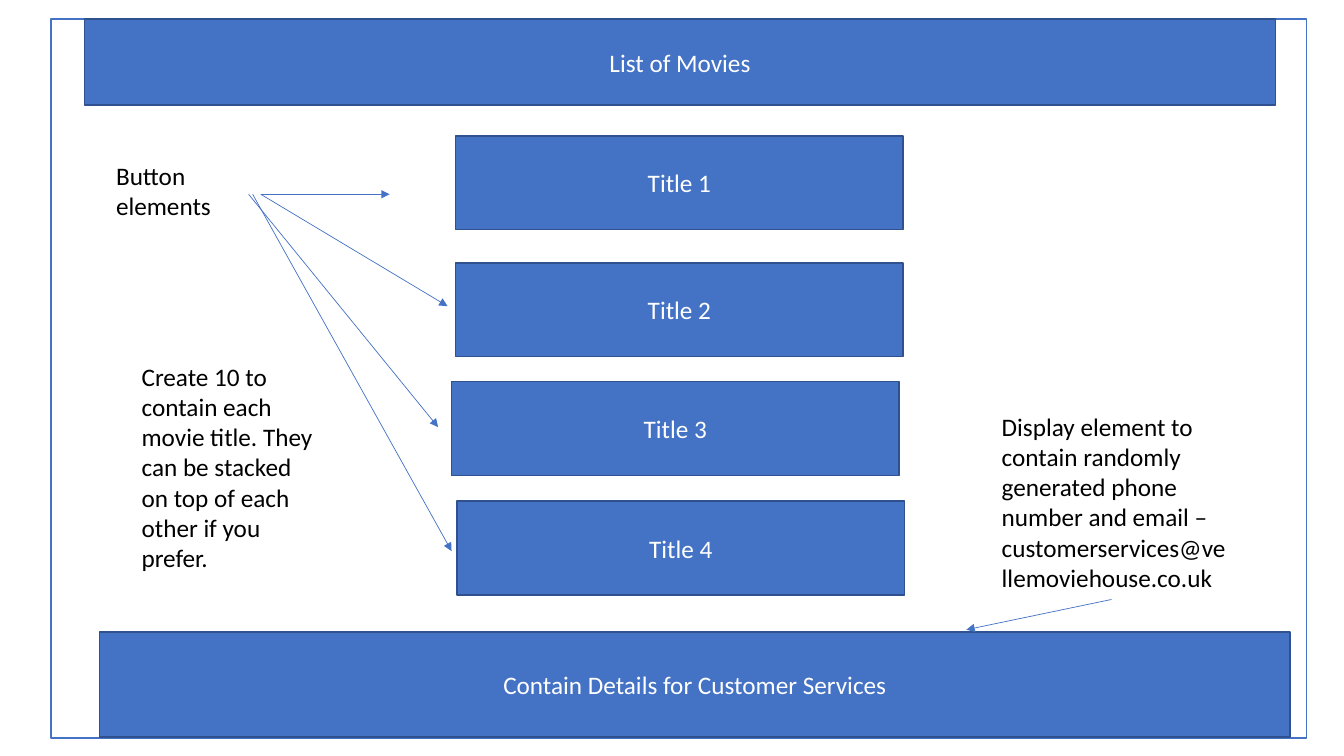
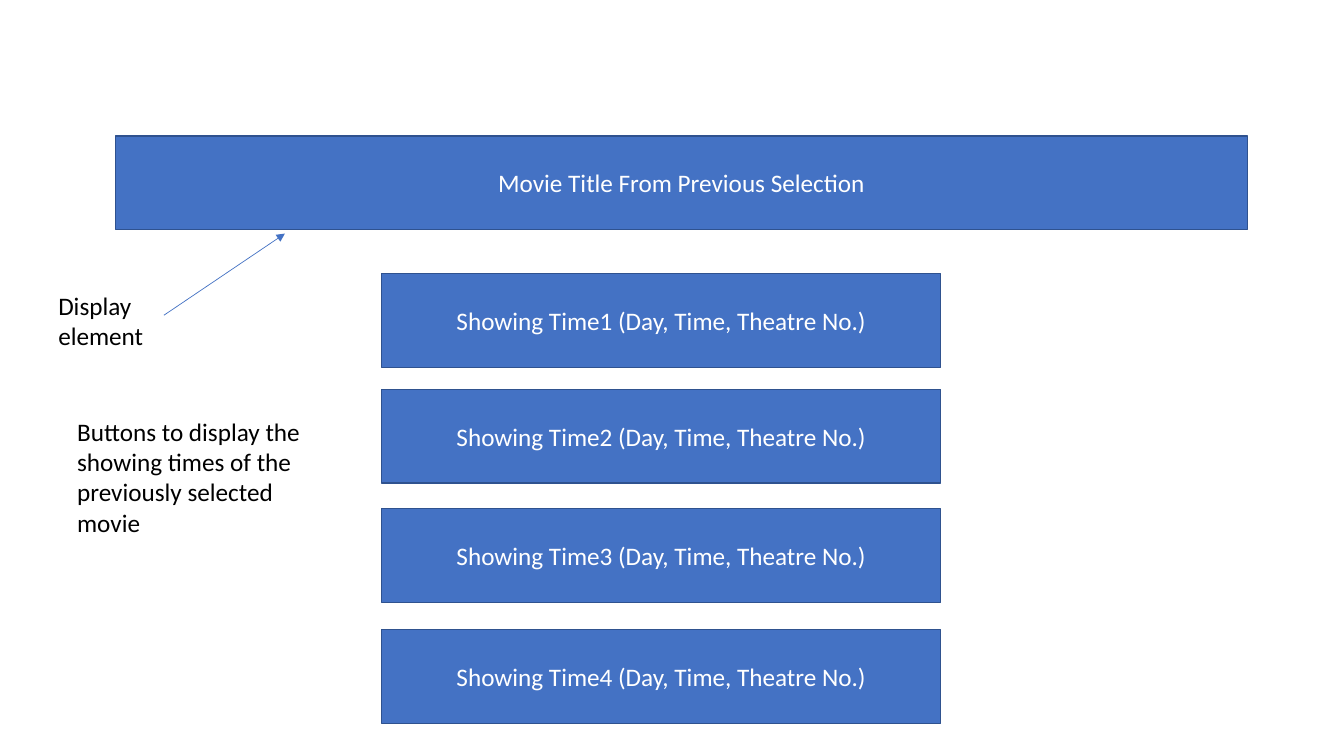
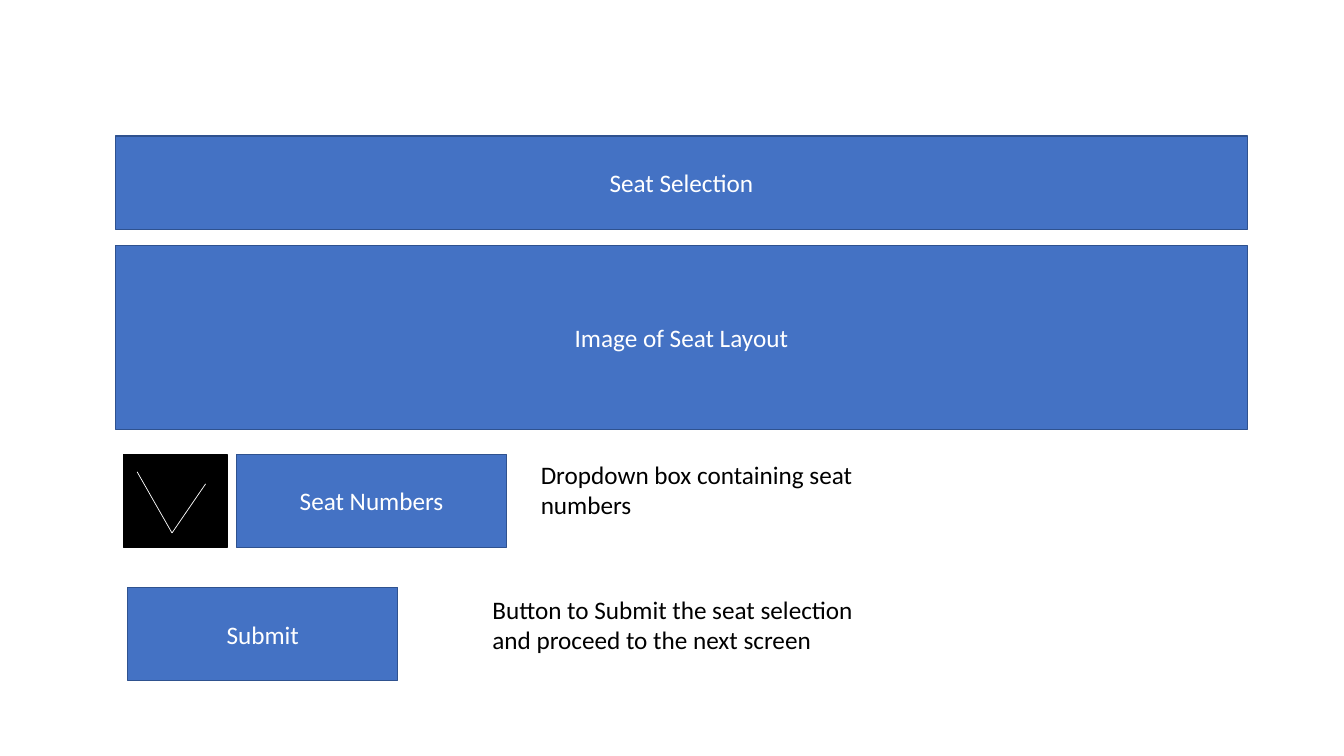
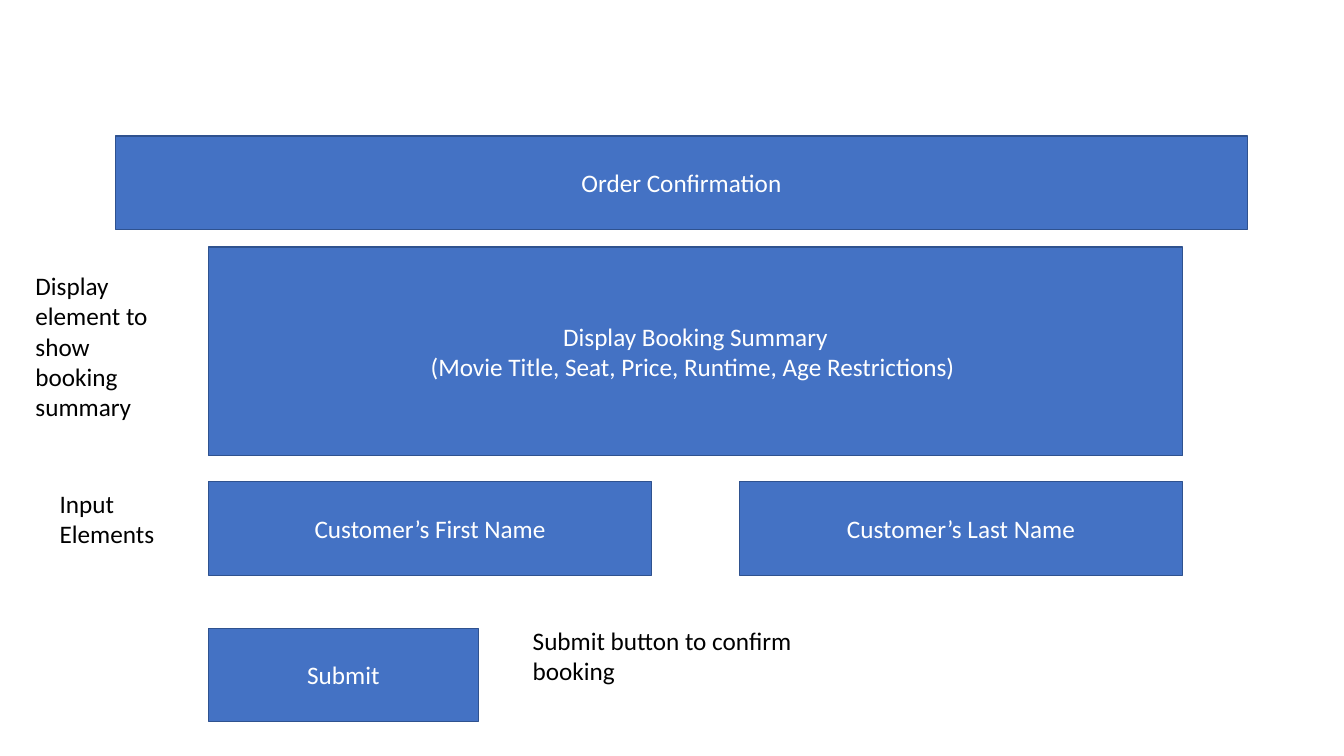
from dataclasses import dataclass

from lxml.etree import SubElement
from pptx import Presentation
from pptx.dml.color import RGBColor
from pptx.enum.shapes import MSO_CONNECTOR, MSO_SHAPE
from pptx.enum.text import MSO_ANCHOR, MSO_AUTO_SIZE, PP_ALIGN
from pptx.oxml.ns import qn
from pptx.util import Inches, Pt


@dataclass(frozen=True)
class Theme:
    font: str = "Calibri"
    size: float = 18
    blue: str = "4472C4"
    navy: str = "2F528F"
    white: str = "FFFFFF"
    black: str = "000000"
    outline: float = 1
    hairline: float = 0.5


theme = Theme()

# Shared measures, in percent of the slide's width or height
WIDTH, HEIGHT = 13.33, 7.5
BUTTON = 12.4
SHORT_BUTTON = (20.1, 12.3)
NOTE = 9.5
BAND = (8.6, 18, 84.2, BUTTON)
MARGIN_BAND = 88.6
SUMMARY_LEFT, SUMMARY_WIDTH = 15.5, 72.5
NAME_WIDTH = 33

# Content: boxes and notes are (lines, left, top, width, height);
# plain boxes are (fill, outline, left, top, width, height);
# lines are (start, end) in the same percentages
title_places = [(33.9, 18), (33.9, 34.8), (33.6, 50.5), (34, 66.3)]
showing_tops = [36.2, 51.5, 67.3, 83.3]
tick = [(10.2, 62.4), (12.8, 70.5), (15.3, 64)]

screens = [
    {
        "plain": [(theme.white, theme.blue, 3.8, 2.5, 93.4, 95.1)],
        "boxes": [
            (["List of Movies"], 6.3, 2.5, MARGIN_BAND, 11.4),
            *[([f"Title {number}"], left, top, 33.3, BUTTON)
              for number, (left, top) in enumerate(title_places, 1)],
            (["Contain Details for Customer Services"],
             7.4, 83.6, MARGIN_BAND, 13.9),
        ],
        "notes": [
            (["Button ", "elements"], 7.9, 20.5, 9.7, NOTE),
            (["Create 10 to contain each movie title. They can be stacked "
              "on top of each other if you prefer."], 9.8, 47.1, 14.2, 29.6),
            (["Display element to contain randomly generated phone number "
              "and email – customerservices@vellemoviehouse.co.uk"],
             73.8, 53.7, 18.3, 25.6),
        ],
        "arrows": [
            ((19.4, 25.7), (29, 25.7)),
            ((19.4, 25.7), (33.3, 40.5)),
            ((18.8, 25.7), (33.6, 72.9)),
            ((18.5, 25.7), (32.6, 56.5)),
            ((82.7, 79.3), (71.9, 83.3)),
        ],
    },
    {
        "boxes": [
            (["Movie Title From Previous Selection"], *BAND),
            *[([f"Showing Time{number} (Day, Time, Theatre No.)"],
               28.4, top, 41.6, BUTTON)
              for number, top in enumerate(showing_tops, 1)],
        ],
        "notes": [
            (["Display element "], 3.6, 37.7, 12.4, NOTE),
            (["Buttons to display the showing times of the previously "
              "selected movie"], 5, 54.4, 20.3, 17.5),
        ],
        "arrows": [((12.2, 41.7), (21.2, 30.9))],
    },
    {
        "plain": [(theme.black, theme.black, 9.2, 60.1, 7.7, 12.3)],
        "boxes": [
            (["Seat Selection"], *BAND),
            (["Image of Seat Layout"], 8.6, 32.5, 84.2, 24.3),
            (["Seat Numbers"], 17.6, 60.1, *SHORT_BUTTON),
            (["Submit"], 9.5, 77.7, *SHORT_BUTTON),
        ],
        "notes": [
            (["Dropdown box containing seat numbers"], 39.5, 60.1, 29.6, NOTE),
            (["Button to Submit the seat selection and proceed to the next "
              "screen"], 35.9, 77.9, 29.6, NOTE),
        ],
        "strokes": list(zip(tick, tick[1:])),
    },
    {
        "boxes": [
            (["Order Confirmation"], *BAND),
            (["Display Booking Summary",
              "(Movie Title, Seat, Price, Runtime, Age Restrictions) "],
             SUMMARY_LEFT, 32.7, SUMMARY_WIDTH, 27.6),
            (["Customer’s First Name"],
             SUMMARY_LEFT, 63.7, NAME_WIDTH, BUTTON),
            (["Customer’s Last Name"],
             SUMMARY_LEFT + SUMMARY_WIDTH - NAME_WIDTH, 63.7, NAME_WIDTH, BUTTON),
            (["Submit"], SUMMARY_LEFT, 83.1, *SHORT_BUTTON),
        ],
        "notes": [
            (["Display element to show booking summary"],
             1.9, 35.1, 10.5, 21.6),
            (["Submit button to confirm booking "], 38.9, 82, 21.2, NOTE),
            (["Input Elements "], 3.7, 63.9, 9, NOTE),
        ],
    },
]


# Drawing helpers
def across(share):
    return Inches(WIDTH * share / 100)


def down(share):
    return Inches(HEIGHT * share / 100)


def area(left, top, width, height):
    return across(left), down(top), across(width), down(height)


def write(frame, lines, colour, align):
    frame.word_wrap = True
    for index, line in enumerate(lines):
        para = frame.paragraphs[0] if index == 0 else frame.add_paragraph()
        para.alignment = align
        span = para.add_run()
        span.text = line
        span.font.name = theme.font
        span.font.size = Pt(theme.size)
        span.font.color.rgb = RGBColor.from_string(colour)


def add_plain(page, fill, outline, *place):
    box = page.shapes.add_shape(MSO_SHAPE.RECTANGLE, *area(*place))
    box.shadow.inherit = False
    box.fill.solid()
    box.fill.fore_color.rgb = RGBColor.from_string(fill)
    box.line.color.rgb = RGBColor.from_string(outline)
    box.line.width = Pt(theme.outline)
    return box


def add_box(page, lines, *place):
    box = add_plain(page, theme.blue, theme.navy, *place)
    box.text_frame.vertical_anchor = MSO_ANCHOR.MIDDLE
    write(box.text_frame, lines, theme.white, PP_ALIGN.CENTER)


def add_note(page, lines, *place):
    note = page.shapes.add_textbox(*area(*place))
    write(note.text_frame, lines, theme.black, PP_ALIGN.LEFT)
    note.text_frame.auto_size = MSO_AUTO_SIZE.SHAPE_TO_FIT_TEXT


def add_line(page, start, end, colour, arrow):
    line = page.shapes.add_connector(
        MSO_CONNECTOR.STRAIGHT,
        across(start[0]), down(start[1]), across(end[0]), down(end[1]))
    line.line.color.rgb = RGBColor.from_string(colour)
    line.line.width = Pt(theme.hairline)
    if arrow:
        SubElement(line.line._get_or_add_ln(), qn("a:tailEnd"), type="triangle")
    SubElement(line._element.spPr, qn("a:effectLst"))


# Build the deck
deck = Presentation()
deck.slide_width, deck.slide_height = Inches(WIDTH), Inches(HEIGHT)
blank = deck.slide_layouts[6]

for screen in screens:
    page = deck.slides.add_slide(blank)
    for plain in screen.get("plain", []):
        add_plain(page, *plain)
    for box in screen["boxes"]:
        add_box(page, *box)
    for note in screen["notes"]:
        add_note(page, *note)
    for start, end in screen.get("arrows", []):
        add_line(page, start, end, theme.blue, arrow=True)
    for start, end in screen.get("strokes", []):
        add_line(page, start, end, theme.white, arrow=False)

deck.save("out.pptx")
